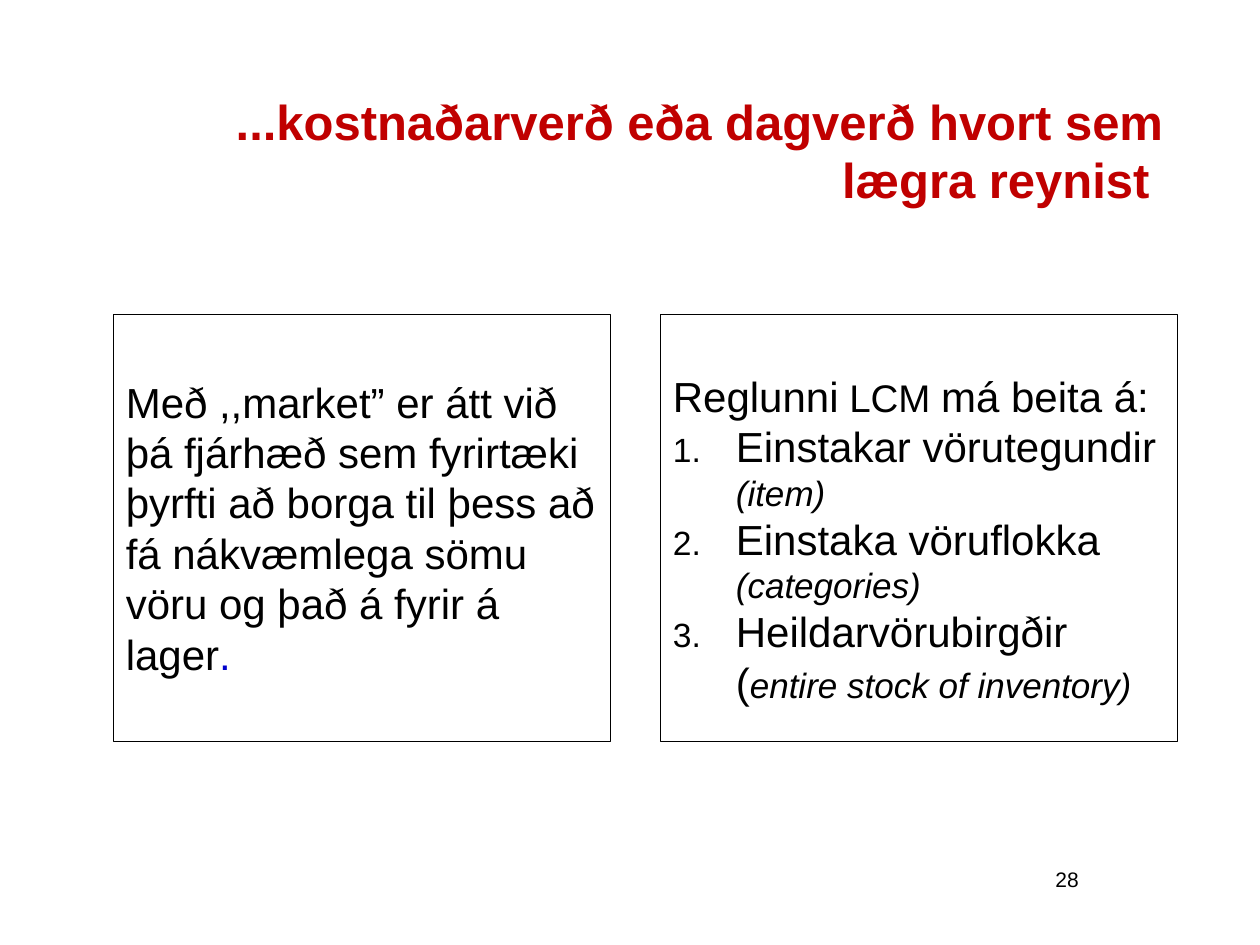
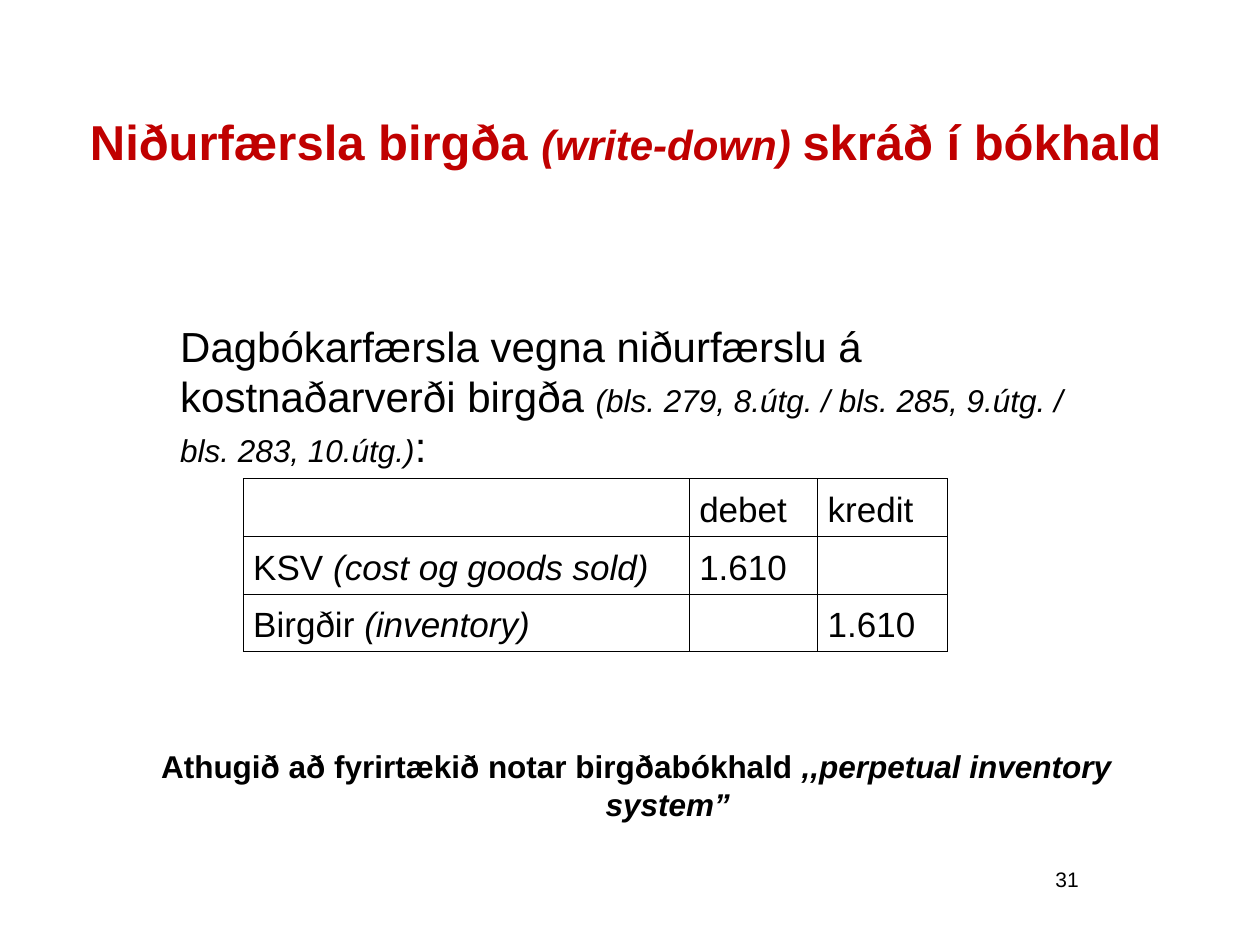
from lxml.etree import SubElement
from pptx import Presentation
from pptx.dml.color import RGBColor
from pptx.enum.shapes import MSO_SHAPE
from pptx.enum.text import MSO_ANCHOR, MSO_AUTO_SIZE, PP_ALIGN
from pptx.oxml.ns import qn
from pptx.util import Inches, Pt

COLORS = {"title": "C00000", "text": "000000", "stop": "0000CC", "paper": "FFFFFF"}
FONT = "Arial"
TITLE_AND_CONTENT = 1
CONTENT_TOP = 2.49
PANEL_HEIGHT = 3.39
HANGING = 0.5


def color(name):
    return RGBColor.from_string(COLORS[name])


def place(shape, box):
    shape.left, shape.top, shape.width, shape.height = map(Inches, box)


def number_paragraph(paragraph):
    properties = paragraph._p.get_or_add_pPr()
    bullet_color = SubElement(properties, qn("a:buClr"))
    SubElement(bullet_color, qn("a:srgbClr"), val=COLORS["text"])
    SubElement(properties, qn("a:buSzPct"), val="80000")
    SubElement(properties, qn("a:buAutoNum"), type="arabicPeriod")


def indent_paragraph(paragraph, left, first):
    properties = paragraph._p.get_or_add_pPr()
    properties.set("marL", str(Inches(left)))
    properties.set("indent", str(Inches(first)))


def write(paragraph, runs, size=24, ink="text", bold=False, align=PP_ALIGN.LEFT,
          left=0, first=0, numbered=False, line_spacing=None):
    """Write runs of (text, overrides); overrides may hold size, ink and italic."""
    indent_paragraph(paragraph, left, first)
    if numbered:
        number_paragraph(paragraph)
    else:
        SubElement(paragraph._p.get_or_add_pPr(), qn("a:buNone"))
    paragraph.alignment = align
    paragraph.space_before = Pt(0)
    paragraph.line_spacing = line_spacing
    paragraph.font.size = Pt(size)
    for text, overrides in runs:
        run = paragraph.add_run()
        run.text = text
        run.font.name = FONT
        run.font.size = Pt(overrides.get("size", size))
        run.font.bold = bold
        run.font.italic = overrides.get("italic", False)
        run.font.color.rgb = color(overrides.get("ink", ink))


def prepare_frame(shape, anchor=MSO_ANCHOR.TOP):
    frame = shape.text_frame
    frame.word_wrap = True
    frame.auto_size = MSO_AUTO_SIZE.NONE
    frame.vertical_anchor = anchor
    return frame


def add_text(slide, box, runs, **text_format):
    shape = slide.shapes.add_textbox(*map(Inches, box))
    write(prepare_frame(shape).paragraphs[0], runs, **text_format)


def outline(shape):
    shape.line.color.rgb = color("text")
    shape.line.width = Pt(0.25)


def add_titled_slide(presentation, title_box, title_runs, page):
    layout = presentation.slide_layouts[TITLE_AND_CONTENT]
    slide = presentation.slides.add_slide(layout)
    title = slide.shapes.title
    place(title, title_box)
    frame = prepare_frame(title, MSO_ANCHOR.MIDDLE)
    write(frame.paragraphs[0], title_runs, size=28, ink="title", bold=True,
          align=PP_ALIGN.RIGHT)
    add_text(slide, (6.58, 6.83, 2.08, 0.5), [(page, {})], size=12,
             align=PP_ALIGN.RIGHT)
    return slide


def add_market_panel(slide, box):
    panel = slide.shapes.add_shape(MSO_SHAPE.RECTANGLE, *map(Inches, box))
    panel.shadow.inherit = False
    panel.fill.solid()
    panel.fill.fore_color.rgb = color("paper")
    outline(panel)
    frame = prepare_frame(panel, MSO_ANCHOR.MIDDLE)
    write(frame.paragraphs[0], [
        ("Með ,,market” er átt við þá fjárhæð sem fyrirtæki þyrfti að borga til "
         "þess að fá nákvæmlega sömu vöru og það á fyrir á lager", {}),
        (".", {"ink": "stop"}),
    ])


def fill_rule_panel(panel, box):
    place(panel, box)
    outline(panel)
    frame = prepare_frame(panel)
    frame.margin_top = Inches(0.45)
    write(frame.paragraphs[0], [
        ("Reglunni", {}), (" LCM ", {"size": 22}), ("má beita á:", {}),
    ], left=HANGING, first=-HANGING)
    for name, english in (
        ("Einstakar vörutegundir ", "(item)"),
        ("Einstaka vöruflokka ", "(categories)"),
        ("Heildarvörubirgðir (", "entire stock of inventory)"),
    ):
        write(frame.add_paragraph(),
              [(name, {}), (english, {"size": 20, "italic": True})],
              left=HANGING, first=-HANGING, numbered=True)


def fill_introduction(body, box):
    place(body, box)
    write(prepare_frame(body).paragraphs[0], [
        ("Dagbókarfærsla vegna niðurfærslu á kostnaðarverði birgða ", {}),
        ("(bls. 279, 8.útg. / bls. 285, 9.útg. / bls. 283, 10.útg.)",
         {"size": 18, "italic": True}),
        (":", {}),
    ], left=HANGING)


def border_cell(cell):
    properties = cell._tc.get_or_add_tcPr()
    for side in ("L", "R", "T", "B"):
        line = SubElement(properties, qn(f"a:ln{side}"), w=str(Pt(0.45)))
        fill = SubElement(line, qn("a:solidFill"))
        SubElement(fill, qn("a:srgbClr"), val=COLORS["text"])


def add_journal_table(slide, box):
    italic = {"italic": True}
    rows = [
        [[], [("debet", {})], [("kredit", {})]],
        [[("KSV ", {}), ("(cost og goods sold)", italic)], [("1.610", {})], []],
        [[("Birgðir ", {}), ("(inventory)", italic)], [], [("1.610", {})]],
    ]
    table = slide.shapes.add_table(len(rows), 3, *map(Inches, box)).table
    table.first_row = table.horz_banding = False
    for column, width in zip(table.columns, (3.54, 1.02, 1.03)):
        column.width = Inches(width)
    for row_index, row in enumerate(rows):
        for column_index, runs in enumerate(row):
            cell = table.cell(row_index, column_index)
            border_cell(cell)
            cell.fill.background()
            cell.vertical_anchor = MSO_ANCHOR.BOTTOM
            cell.margin_left = cell.margin_right = Inches(0.08)
            write(cell.text_frame.paragraphs[0], runs, size=20, line_spacing=1.15)


def build_lower_value_slide(presentation):
    slide = add_titled_slide(
        presentation, (0.9, 0.44, 8.43, 1.5),
        [("...kostnaðarverð eða dagverð hvort sem lægra reynist ", {})], "28")
    fill_rule_panel(slide.placeholders[1], (5.24, CONTENT_TOP, 4.1, PANEL_HEIGHT))
    add_market_panel(slide, (0.9, CONTENT_TOP, 3.94, PANEL_HEIGHT))


def build_write_down_slide(presentation):
    small_italic = {"size": 24, "italic": True}
    slide = add_titled_slide(presentation, (0.59, 0.7, 8.82, 0.84), [
        ("Niðurfærsla birgða ", {}), ("(write-down) ", small_italic),
        ("skráð í bókhald", {}), (" ", small_italic),
    ], "31")
    fill_introduction(slide.placeholders[1], (0.83, CONTENT_TOP, 7.8, 1.3))
    add_journal_table(slide, (1.93, 3.8, 5.59, 1.29))
    add_text(slide, (0.83, 5.88, 8.44, 0.7), [
        ("Athugið að fyrirtækið notar birgðabókhald ", {}),
        (",,perpetual inventory system”", {"italic": True}),
    ], size=18, bold=True, align=PP_ALIGN.CENTER, left=HANGING, first=-HANGING)


def main():
    presentation = Presentation()
    presentation.slide_width = Inches(10)
    presentation.slide_height = Inches(7.5)
    build_lower_value_slide(presentation)
    build_write_down_slide(presentation)
    presentation.save("out.pptx")


if __name__ == "__main__":
    main()
